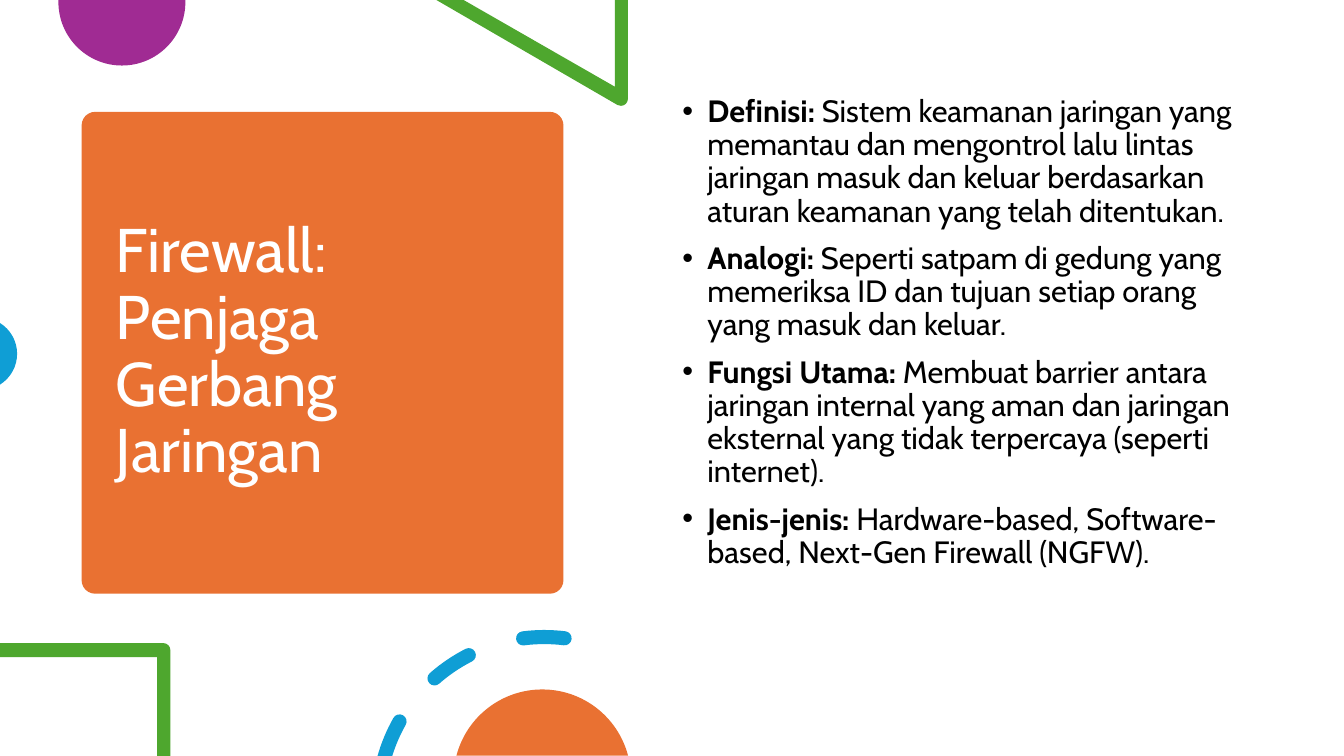
"""Build the firewall slide: title card, bullet list and cropped decorations."""
from math import cos, radians, sin, tan

from lxml.etree import SubElement
from pptx import Presentation
from pptx.dml.color import RGBColor
from pptx.enum.shapes import MSO_SHAPE
from pptx.enum.text import MSO_ANCHOR, MSO_AUTO_SIZE, PP_ALIGN
from pptx.oxml.ns import qn
from pptx.util import Inches, Pt

WIDTH, HEIGHT = 40 / 3, 7.5
FONT = "Cabin"
ORANGE, PURPLE, GREEN, BLUE = "E97132", "A02B93", "4EA72E", "0F9ED5"
TITLE = "Firewall: Penjaga Gerbang Jaringan"
BULLETS = [
    ("Definisi:", "Sistem keamanan jaringan yang memantau dan mengontrol lalu lintas "
                  "jaringan masuk dan keluar berdasarkan aturan keamanan yang telah ditentukan."),
    ("Analogi:", "Seperti satpam di gedung yang memeriksa ID dan tujuan setiap orang "
                 "yang masuk dan keluar."),
    ("Fungsi Utama:", "Membuat barrier antara jaringan internal yang aman dan jaringan "
                      "eksternal yang tidak terpercaya (seperti internet)."),
    ("Jenis-jenis:", "Hardware-based, Software-based, Next-Gen Firewall (NGFW)."),
]
CARD_BOX = (0.81, 1.11, 4.78, 4.78)
TITLE_BOX = (1.05, 1.22, 4.31, 4.56)
BODY_BOX = (6.67, 0.9, 5.75, 5.35)
RING_CENTER, RING_RADIUS, DASH_RADIUS = (5.4, 7.97), 1.65, 0.07
CROPPED_DASH = (195.9, 197.3, 209.5)
DASHES = [(228.7, 243), (262.7, 277)]


def color(value):
    return RGBColor.from_string(value)


def lines(*points):
    return [(point,) for point in points]


def on_circle(center, radius, angle):
    return (center[0] + radius * cos(radians(angle)), center[1] + radius * sin(radians(angle)))


def arc(center, radius, *angles):
    """Return a line to the first angle, then one curve for each next angle."""
    segments = lines(on_circle(center, radius, angles[0]))
    for start, end in zip(angles, angles[1:]):
        reach = radius * 4 / 3 * tan(radians(end - start) / 4)
        first, last = on_circle(center, radius, start), on_circle(center, radius, end)
        segments.append((on_circle(first, reach, start + 90),
                         on_circle(last, -reach, end + 90), last))
    return segments


def cap(angle, turn):
    """Round off a dash at one angle of the ring."""
    center = on_circle(RING_CENTER, RING_RADIUS, angle)
    return arc(center, DASH_RADIUS, turn, turn + 90, turn + 180)[1:]


def dash(outer_start, inner_start, end):
    return (arc(RING_CENTER, RING_RADIUS + DASH_RADIUS, outer_start, end) + cap(end, end)
            + arc(RING_CENTER, RING_RADIUS - DASH_RADIUS, end, inner_start)[1:])


def paint(shape, fill):
    shape.shadow.inherit = False
    shape.fill.solid()
    shape.fill.fore_color.rgb = color(fill)
    shape.line.fill.background()


def add_outline(slide, contours, fill):
    """Draw closed contours of lines and curves as one shape."""
    builder = None
    for contour in contours:
        points = [tuple(map(Inches, point)) for segment in contour for point in segment]
        if builder is None:
            builder = slide.shapes.build_freeform(*points[0])
        else:
            builder.move_to(*points[0])
        builder.add_line_segments(points[1:], close=True)
    shape = builder.convert_to_shape()
    steps = iter(list(shape._element.iter(qn("a:lnTo"))))
    for segment in (segment for contour in contours for segment in contour[1:]):
        step = next(steps)
        if len(segment) == 3:
            curve = step.makeelement(qn("a:cubicBezTo"))
            step.addprevious(curve)
            for part in (step, next(steps), next(steps)):
                curve.append(part[0])
                part.getparent().remove(part)
    paint(shape, fill)


def set_font(font, **values):
    values = {"name": FONT, **values}
    font.color.rgb = color(values.pop("rgb"))
    for name, value in values.items():
        setattr(font, name, value)


def set_frame(frame, anchor):
    values = {"word_wrap": True, "auto_size": MSO_AUTO_SIZE.NONE, "vertical_anchor": anchor}
    for name, value in values.items():
        setattr(frame, name, value)


def add_title(slide):
    card = slide.shapes.add_shape(MSO_SHAPE.ROUNDED_RECTANGLE, *map(Inches, CARD_BOX))
    card.adjustments[0] = 0.028
    paint(card, ORANGE)
    title = slide.shapes.title
    card._element.addnext(title._element)
    title.left, title.top, title.width, title.height = map(Inches, TITLE_BOX)
    title.text_frame.text = TITLE
    set_frame(title.text_frame, MSO_ANCHOR.MIDDLE)
    paragraph = title.text_frame.paragraphs[0]
    paragraph.alignment = PP_ALIGN.LEFT
    paragraph.line_spacing = 0.9
    set_font(paragraph.runs[0].font, size=Pt(44), rgb="FFFFFF")


def add_bullets(slide):
    frame = slide.shapes.add_textbox(*map(Inches, BODY_BOX)).text_frame
    set_frame(frame, MSO_ANCHOR.TOP)
    for index, (label, detail) in enumerate(BULLETS):
        paragraph = frame.add_paragraph() if index else frame.paragraphs[0]
        paragraph.line_spacing = 0.9
        paragraph.space_before = Pt(10 if index else 0)
        properties = paragraph._p.get_or_add_pPr()
        properties.set("marL", str(Inches(0.25)))
        properties.set("indent", str(-Inches(0.25)))
        SubElement(properties, qn("a:buFont"), typeface="Arial")
        SubElement(properties, qn("a:buChar"), char="•")
        for text, bold in ((label + " ", True), (detail, False)):
            run = paragraph.add_run()
            run.text = text
            set_font(run.font, size=Pt(22), bold=bold, rgb="000000")


def add_decorations(slide):
    circle = lines((1.84, 0), (0.58, 0)) + arc((1.21, 0.02), 0.63, 180, 90, 0)
    triangle = (lines((6.23, 0), (6.1, 0), (6.1, 0.86), (4.6, 0), (4.33, 0))
                + arc((6.16, 0.98), 0.07, 120, 90, 0))
    square = (lines((0, 6.38)) + arc((1.62, 6.45), 0.07, -90, 0)
              + lines((1.69, 7.5), (1.56, 7.5), (1.56, 6.52), (0, 6.52)))
    dashes = [dash(*CROPPED_DASH)]
    dashes += [dash(start, start, end) + cap(start, start + 180) for start, end in DASHES]
    decorations = [
        ([circle], PURPLE),
        ([triangle], GREEN),
        ([arc((-0.19, 3.51), 0.36, -58, 0, 58)], BLUE),
        ([square], GREEN),
        (dashes, BLUE),
        ([arc((5.38, 7.72), 0.88, 194.7, 270, 345.3)], ORANGE),
    ]
    for contours, fill in decorations:
        add_outline(slide, contours, fill)


def main():
    presentation = Presentation()
    presentation.slide_width, presentation.slide_height = Inches(WIDTH), Inches(HEIGHT)
    slide = presentation.slides.add_slide(presentation.slide_layouts[5])
    add_title(slide)
    add_decorations(slide)
    add_bullets(slide)
    presentation.save("out.pptx")


if __name__ == "__main__":
    main()
